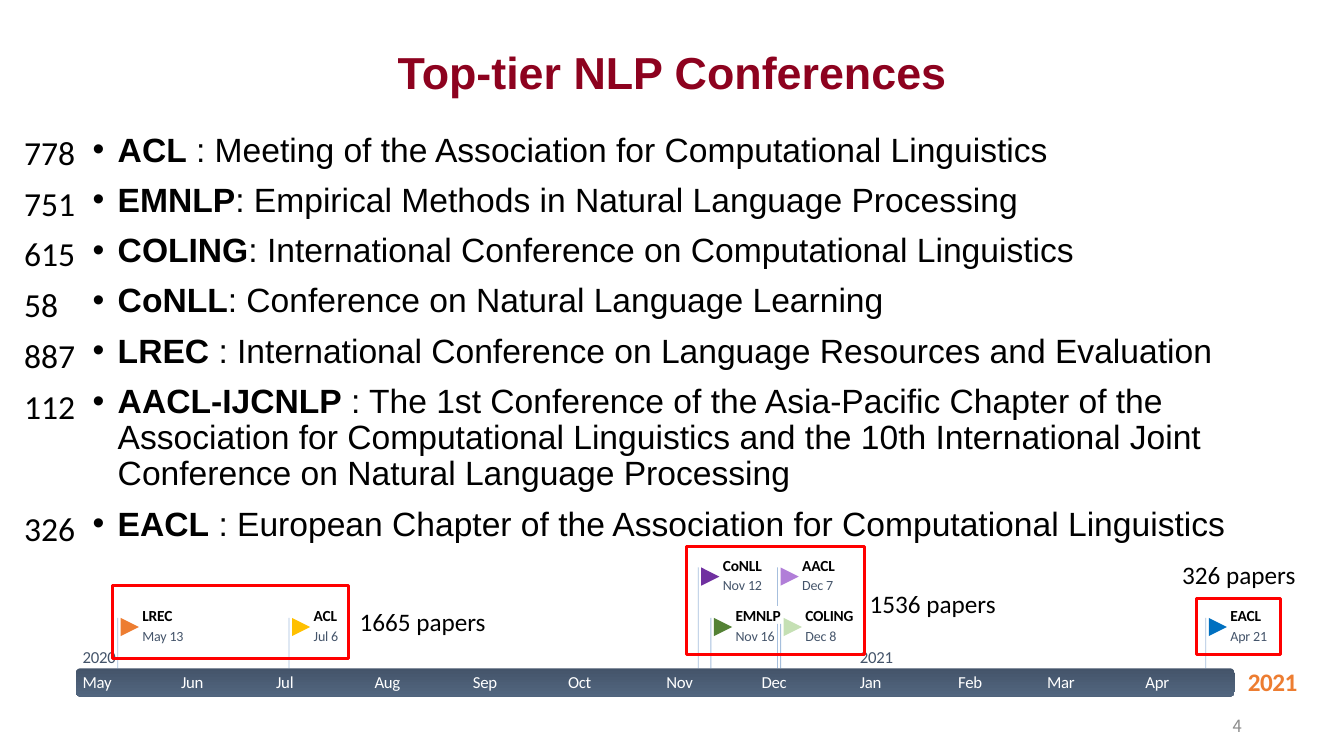
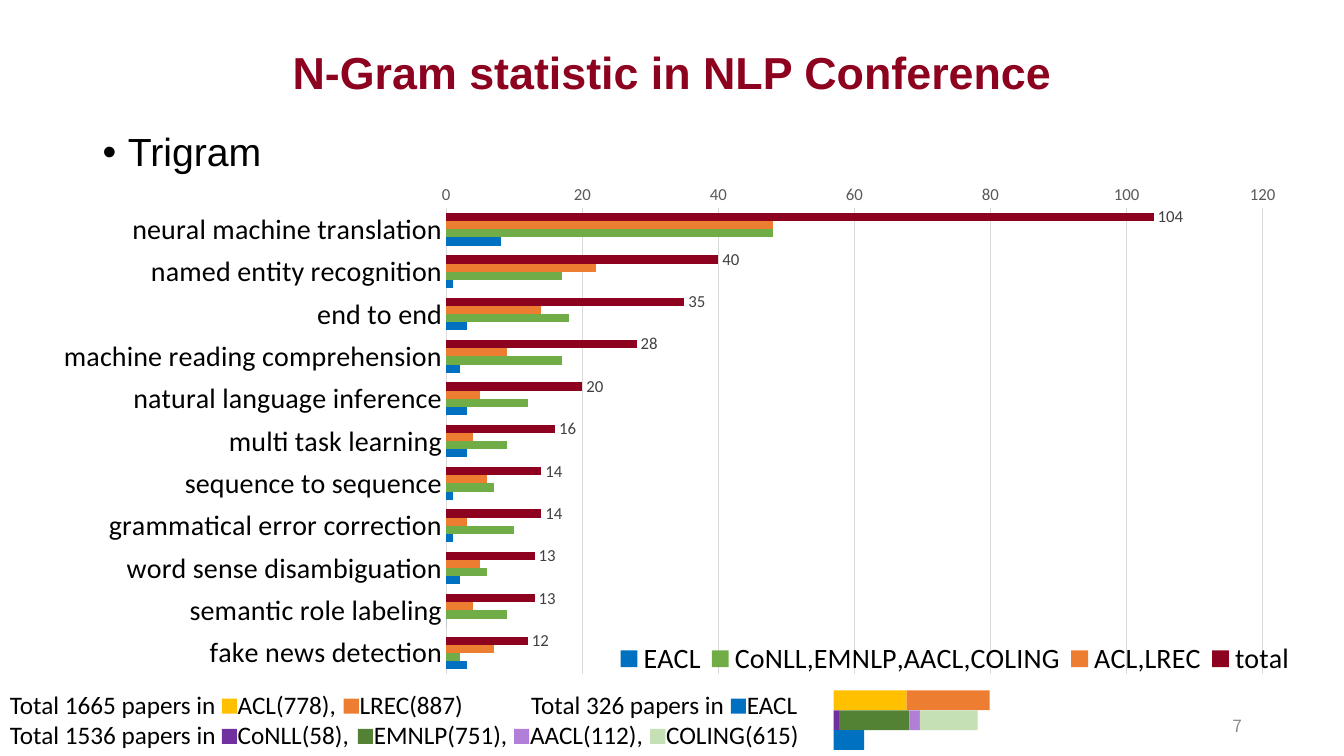
from itertools import accumulate

from lxml import etree
from pptx import Presentation
from pptx.chart.data import CategoryChartData
from pptx.dml.color import RGBColor
from pptx.enum import chart as charts, shapes, text
from pptx.oxml import ns
from pptx.util import Inches, Pt

# Grid: one column or row is a tenth of an inch
GRID = Inches(0.1)
COLUMNS, ROWS = 133.33, 75

COLORS = {
    "title": "8D021F", "black": "000000", "white": "FFFFFF", "slate": "44546A",
    "slate_light": "52667F", "number": "8C8C8C", "axis": "595959",
    "label": "404040", "grid": "D9D9D9", "stem": "4F81BD", "frame": "FF0000",
    "LREC": "ED7D31", "ACL": "FFC000", "EMNLP": "548235", "COLING": "C5E0B4",
    "CoNLL": "7030A0", "AACL": "B17ED8", "EACL": "0070C0", "autumn": "70AD47",
}

# Text styles: font, colour, tracking, then paragraph and frame formats
TIGHT = {"margin_left": 0, "margin_right": 0, "margin_top": 0, "margin_bottom": 0,
         "vertical_anchor": text.MSO_ANCHOR.MIDDLE, "word_wrap": True}
MIDDLE = {"vertical_anchor": text.MSO_ANCHOR.MIDDLE, "word_wrap": True}
LOOSE = {"word_wrap": False, "auto_size": text.MSO_AUTO_SIZE.SHAPE_TO_FIT_TEXT}
CENTER, RIGHT = text.PP_ALIGN.CENTER, text.PP_ALIGN.RIGHT


def style(size, name="Calibri", color="black", bold=False, tracking=0,
          paragraph=None, frame=None):
    return {"font": {"size": Pt(size), "name": name, "bold": bold}, "color": color,
            "tracking": tracking, "paragraph": paragraph or {},
            "frame": frame or {"word_wrap": True}}


BULLET = {"line_spacing": 0.9, "space_before": Pt(10)}
STYLES = {
    "title": style(32, "Arial", "title", True, 0,
                   {"alignment": CENTER, "line_spacing": 0.9}, MIDDLE),
    "number": style(12, "Noto Sans CJK KR", "number", False, 0,
                    {"alignment": RIGHT}, MIDDLE),
    "bullet": style(24, "Arial", paragraph=BULLET),
    "big_bullet": style(28, "Arial", paragraph=BULLET),
    "count": style(24, paragraph={"line_spacing": 1.2}, frame=LOOSE),
    "papers": style(18, frame=LOOSE),
    "month": style(12, color="white", tracking=-20, frame=TIGHT),
    "year": style(12, color="slate", tracking=-20, frame=TIGHT),
    "end_year": style(18, color="LREC", bold=True, tracking=-40,
                      paragraph={"alignment": CENTER}, frame=TIGHT),
    "event": style(11, bold=True, tracking=-15, frame=TIGHT),
    "date": style(10, color="slate", tracking=-10, frame=TIGHT),
}

# Conferences: name, papers, full name, row of the paper count
CONFERENCES = [
    ("ACL", 778, " : Meeting of the Association for Computational Linguistics", 0),
    ("EMNLP", 751, ": Empirical Methods in Natural Language Processing", 1),
    ("COLING", 615, ": International Conference on Computational Linguistics", 2),
    ("CoNLL", 58, ": Conference on Natural Language Learning", 3),
    ("LREC", 887, " : International Conference on Language Resources and Evaluation", 4),
    ("AACL-IJCNLP", 112, " : The 1st Conference of the Asia-Pacific Chapter of the "
     "Association for Computational Linguistics and the 10th International Joint "
     "Conference on Natural Language Processing", 5),
    ("EACL", 326, " : European Chapter of the Association for Computational Linguistics",
     7.42),
]
PAPERS = {name.split("-")[0]: papers for name, papers, _, _ in CONFERENCES}

# Timeline: months with their lengths, then events
MONTHS = {"May": 31, "Jun": 30, "Jul": 31, "Aug": 31, "Sep": 30, "Oct": 31,
          "Nov": 30, "Dec": 31, "Jan": 31, "Feb": 28, "Mar": 31, "Apr": 30}
MONTH_STARTS = dict(zip(MONTHS, accumulate(MONTHS.values(), initial=0)))
TIMELINE_LEFT, DAY, BAR_TOP = 8.2, 0.3147, 66.3
UPPER, LOWER = 56.3, 61.3
# name, date, flag row, label widths, vertical spans of the stem
EVENTS = [
    ("ACL", "Jul 6", LOWER, (2.5, 2.8), [(LOWER, BAR_TOP)]),
    ("EMNLP", "Nov 16", LOWER, (4.8, 4.2), [(LOWER, BAR_TOP)]),
    ("COLING", "Dec 8", LOWER, (5.2, 3.4), [(61.9, BAR_TOP)]),
    ("CoNLL", "Nov 12", UPPER, (4.2, 4.2), [(UPPER, BAR_TOP)]),
    ("AACL", "Dec 7", UPPER, (3.5, 3.4), [(UPPER, 60.1), (61.9, BAR_TOP)]),
    ("EACL", "Apr 21", LOWER, (3.4, 4), [(LOWER, BAR_TOP)]),
    ("LREC", "May 13", LOWER, (3.4, 4.5), [(LOWER, BAR_TOP)]),
]
# Red frames and their paper totals
PERIODS = [
    ((11.2, 58.1, 23.4, 7.2), "1665 papers", (34.7, 59.7, 14.7, 4)),
    ((68.1, 54.2, 17.7, 10.7), "1536 papers", (85.3, 57.9, 14.7, 4)),
    ((118.7, 59.4, 8.3, 5.5), "326 papers", (116.3, 55, 13.4, 4)),
]

# Trigram counts
TRIGRAMS = ["neural machine translation", "named entity recognition", "end to end",
            "machine reading comprehension", "natural language inference",
            "multi task learning", "sequence to sequence",
            "grammatical error correction", "word sense disambiguation",
            "semantic role labeling", "fake news detection"]
SERIES = [
    ("total", "title", (104, 40, 35, 28, 20, 16, 14, 14, 13, 13, 12)),
    ("ACL,LREC", "LREC", (48, 22, 14, 9, 5, 4, 6, 3, 5, 4, 7)),
    ("CoNLL,EMNLP,AACL,COLING", "autumn", (48, 17, 18, 17, 12, 9, 7, 10, 6, 9, 2)),
    ("EACL", "EACL", (8, 1, 3, 2, 3, 3, 1, 1, 2, 0, 3)),
]
# Key rows: left, top, total, conferences with the column of each swatch
KEY = [
    (0, 67.9, 1665, {"ACL": 22, "LREC": 34.1}),
    (0, 70.9, 1536, {"CoNLL": 22, "EMNLP": 35.5, "AACL": 51, "COLING": 64.5}),
    (51.7, 67.9, 326, {"EACL": 72.5}),
]


# Helpers
def grid(*lengths):
    return [round(length * GRID) for length in lengths]


def rgb(name):
    return RGBColor.from_string(COLORS[name])


def apply_format(target, values):
    for name, value in values.items():
        setattr(target, name, value)


def add_xml(parent, tag, **attributes):
    child = etree.SubElement(parent, ns.qn(tag))
    for name, value in attributes.items():
        child.set(name, str(value))
    return child


def add_run(paragraph, words, look, **font):
    run = paragraph.add_run()
    run.text = words
    apply_format(run.font, {**look["font"], **font})
    run.font.color.rgb = rgb(look["color"])
    if look["tracking"]:
        run._r.get_or_add_rPr().set("spc", str(look["tracking"]))


def add_text(slide, box, style_name, *paragraphs):
    """Each paragraph is a list of (words, font changes)."""
    look = STYLES[style_name]
    frame = slide.shapes.add_textbox(*grid(*box)).text_frame
    apply_format(frame, look["frame"])
    for index, runs in enumerate(paragraphs):
        paragraph = frame.add_paragraph() if index else frame.paragraphs[0]
        apply_format(paragraph, look["paragraph"])
        for words, font in runs:
            add_run(paragraph, words, look, **font)
    return frame


def add_label(slide, box, style_name, words):
    return add_text(slide, box, style_name, [(words, {})])


def add_bullets(frame):
    for paragraph in frame.paragraphs:
        properties = paragraph._p.get_or_add_pPr()
        properties.set("marL", str(Inches(0.25)))
        properties.set("indent", str(-Inches(0.25)))
        add_xml(properties, "a:buFont", typeface="Arial")
        add_xml(properties, "a:buChar", char="•")


def add_block(slide, box, fill=None, kind=shapes.MSO_SHAPE.RECTANGLE, line=None):
    shape = slide.shapes.add_shape(kind, *grid(*box))
    shape.shadow.inherit = False
    if fill:
        shape.fill.solid()
        shape.fill.fore_color.rgb = rgb(fill)
    else:
        shape.fill.background()
    if line:
        shape.line.color.rgb = rgb(line)
        shape.line.width = Pt(2)
    else:
        shape.line.fill.background()
    return shape


def add_stem(slide, column, top, bottom):
    stem = slide.shapes.add_connector(shapes.MSO_CONNECTOR.STRAIGHT,
                                      *grid(column, top, column, bottom))
    stem.line.width = Pt(0.6)
    stem.line.color.rgb = rgb("stem")
    color = stem._element.spPr.find(".//" + ns.qn("a:srgbClr"))
    add_xml(color, "a:alpha", val=50000)
    add_xml(stem._element.spPr, "a:effectLst")


def add_slide(presentation, title, number):
    slide = presentation.slides.add_slide(presentation.slide_layouts[6])
    add_label(slide, (94.2, 70, 30, 4), "number", number)
    add_label(slide, (9.2, 3, 115, 8.8), "title", title)
    return slide


# Timeline
def add_event(slide, name, date, top, widths):
    month, day = date.split()
    flag = TIMELINE_LEFT + DAY * (MONTH_STARTS[month] + int(day) - 1)
    add_block(slide, (flag, top, 1.8, 1.8), name,
              shapes.MSO_SHAPE.FLOWCHART_MERGE).rotation = 270
    add_label(slide, (flag + 2.15, top - 1.2, widths[0], 1.9), "event", name)
    add_label(slide, (flag + 2.15, top + 0.9, widths[1], 1.7), "date", date)
    return flag - 0.3


def add_timeline(slide):
    add_label(slide, (123.8, 66.1, 4.9, 3.1), "end_year", "2021")
    bar = add_block(slide, (7.5, BAR_TOP, 115, 2.8), "slate",
                    shapes.MSO_SHAPE.ROUNDED_RECTANGLE)
    bar.fill.gradient()
    bar.fill.gradient_angle = 270
    for stop, color in zip(bar.fill.gradient_stops, ("slate", "slate_light")):
        stop.color.rgb = rgb(color)
    for month, start in MONTH_STARTS.items() if len(MONTH_STARTS) == 12 else ():
        add_label(slide, (TIMELINE_LEFT + DAY * start, 66.7, 3.5, 1.9), "month", month)
    for year, month in (("2020", "May"), ("2021", "Jan")):
        left = TIMELINE_LEFT + DAY * MONTH_STARTS[month]
        add_label(slide, (left, 64.2, 3.5, 2), "year", year)
    for name, date, top, widths, spans in EVENTS:
        column = add_event(slide, name, date, top, widths)
        for span in spans:
            add_stem(slide, column, *span)
    for frame, papers, box in PERIODS:
        add_block(slide, frame, line="frame")
        add_label(slide, box, "papers", papers)


# Trigram chart
def set_layout(parent, index, inner=False, **shares):
    for old in parent.findall(ns.qn("c:layout")):
        parent.remove(old)
    layout = etree.Element(ns.qn("c:layout"))
    manual = add_xml(layout, "c:manualLayout")
    if inner:
        add_xml(manual, "c:layoutTarget", val="inner")
    for name in ("xMode", "yMode"):
        add_xml(manual, "c:" + name, val="edge")
    for name, share in shares.items():
        add_xml(manual, "c:" + name, val=share)
    parent.insert(index, layout)


def set_font(font, size, color="black"):
    apply_format(font, {"size": Pt(size), "name": "Calibri", "bold": False})
    font.color.rgb = rgb(color)


def add_trigram_chart(slide):
    data = CategoryChartData()
    data.categories = TRIGRAMS
    for name, _, values in SERIES:
        data.add_series(name, values)
    chart = slide.shapes.add_chart(charts.XL_CHART_TYPE.BAR_CLUSTERED,
                                   *grid(4.4, 17.1, 124.6, 50.8), data).chart
    apply_format(chart, {"has_title": False, "has_legend": True})
    set_font(chart.font, 10)
    plot = chart.plots[0]
    apply_format(plot, {"gap_width": 120, "vary_by_categories": False})
    for series, (_, color, _) in zip(plot.series, SERIES):
        series.format.fill.solid()
        series.format.fill.fore_color.rgb = rgb(color)
    labels = plot.series[0].data_labels
    apply_format(labels, {"show_value": True,
                          "position": charts.XL_LABEL_POSITION.OUTSIDE_END})
    set_font(labels.font, 12, "label")
    ticks = {"major_tick_mark": charts.XL_TICK_MARK.NONE,
             "minor_tick_mark": charts.XL_TICK_MARK.NONE}
    names, values = chart.category_axis, chart.value_axis
    apply_format(names, {**ticks, "reverse_order": True})
    apply_format(values, {**ticks, "minimum_scale": 0, "maximum_scale": 120,
                          "major_unit": 20, "has_major_gridlines": True})
    set_font(names.tick_labels.font, 20)
    set_font(values.tick_labels.font, 12, "axis")
    for line in (names.format.line, values.major_gridlines.format.line):
        line.color.rgb = rgb("grid")
        line.width = Pt(0.75)
    values.format.line.fill.background()
    apply_format(chart.legend, {"position": charts.XL_LEGEND_POSITION.BOTTOM,
                                "include_in_layout": True})
    set_font(chart.legend.font, 20)
    set_layout(chart._chartSpace.find(".//" + ns.qn("c:plotArea")), 0, True,
               x=0.32, y=0.07, w=0.65, h=0.91)
    set_layout(chart.legend._element, 1, x=0.45, y=0.91, w=0.55, h=0.08)


def add_key(slide):
    for left, top, total, swatches in KEY:
        names = [f"{name}({PAPERS[name]})" if len(swatches) > 1 else name
                 for name in swatches]
        words = f"Total {total} papers in\t" + ",\t".join(names)
        width = 81.1 if len(swatches) > 2 else 28.8 if left else 47
        frame = add_label(slide, (left, top, width, 4), "papers", words)
        tabs = add_xml(frame.paragraphs[0]._p.get_or_add_pPr(), "a:tabLst")
        for name, column in swatches.items():
            add_xml(tabs, "a:tab", pos=grid(column + 0.6 - left)[0], algn="l")
            add_block(slide, (column, top + 1.4, 1.5, 1.5), name)


def add_paper_bars(slide):
    for row, names in enumerate((("ACL", "LREC"), ("CoNLL", "EMNLP", "AACL", "COLING"),
                                 ("EACL",))):
        left = 82.7
        for name in names:
            width = PAPERS[name] * 0.0093
            add_block(slide, (left, 68.5 + 1.97 * row, width, 1.97), name)
            left += width


def main():
    presentation = Presentation()
    presentation.slide_width, presentation.slide_height = grid(COLUMNS, ROWS)

    slide = add_slide(presentation, "Top-tier NLP Conferences", "4")
    add_bullets(add_text(slide, (8.2, 12.7, 117.6, 56.5), "bullet", *(
        [(name, {"bold": True}), (meaning, {})] for name, _, meaning, _ in CONFERENCES)))
    add_timeline(slide)
    for _, papers, _, row in CONFERENCES:
        width = 7.1 if papers > 99 else 5.4
        add_label(slide, (1.4, 11.8 + 5.03 * row, width, 5.5), "count", str(papers))

    slide = add_slide(presentation, "N-Gram statistic in NLP Conference", "7")
    add_bullets(add_label(slide, (9.2, 12.7, 116.7, 56.5), "big_bullet", "Trigram"))
    add_trigram_chart(slide)
    add_key(slide)
    add_paper_bars(slide)
    presentation.save("out.pptx")


main()
